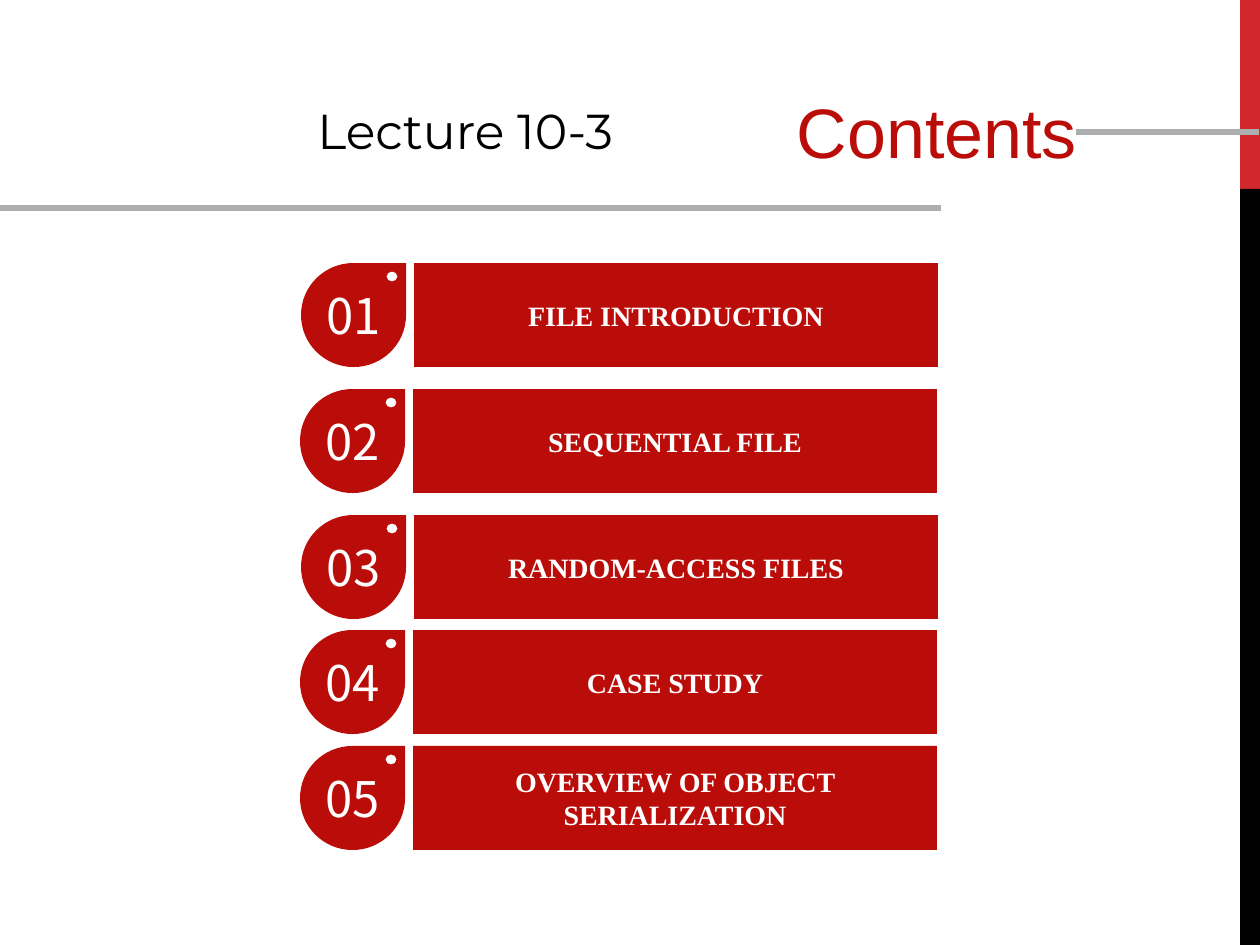
import pptx
import pptx.dml.color
import pptx.enum.shapes
import pptx.enum.text
import pptx.oxml.ns
import pptx.util
from lxml import etree

RED = pptx.dml.color.RGBColor(0xBA, 0x0D, 0x09)
BRIGHT_RED = pptx.dml.color.RGBColor(0xD1, 0x28, 0x2E)
BLACK = pptx.dml.color.RGBColor(0x00, 0x00, 0x00)
WHITE = pptx.dml.color.RGBColor(0xFF, 0xFF, 0xFF)
GRAY = pptx.dml.color.RGBColor(0xAC, 0xAE, 0xB0)

EMU_PER_PX = 914400 / 126

# Badge left, top, topic
TOPICS = [
    (301, 263, "FILE INTRODUCTION"),
    (300, 389, "SEQUENTIAL FILE"),
    (301, 515, "RANDOM-ACCESS FILES"),
    (300, 630, "CASE STUDY"),
    (300, 746, "OVERVIEW OF OBJECT SERIALIZATION"),
]
SIDE_BANDS = [(0, 189, BRIGHT_RED), (189, 756, BLACK)]
RULES = [(1076, 1259, 132), (-1, 941, 208)]

BADGE_WIDTH = 105
ROW_HEIGHT = 104
BAR_OFFSET = 113
BAR_WIDTH = 524

# Hole and drop, in tenths of a px from the badge's top left corner
BADGE_OUTLINE = [
    ("moveTo", [(910, 85)]),
    ("cubicBezTo", [(880, 85), (855, 107), (855, 135)]),
    ("cubicBezTo", [(855, 163), (880, 185), (910, 185)]),
    ("cubicBezTo", [(940, 185), (965, 163), (965, 135)]),
    ("cubicBezTo", [(965, 107), (940, 85), (910, 85)]),
    ("close", []),
    ("moveTo", [(525, 0)]),
    ("lnTo", [(1050, 0)]),
    ("lnTo", [(1050, 520)]),
    ("cubicBezTo", [(1050, 807), (815, 1040), (525, 1040)]),
    ("cubicBezTo", [(235, 1040), (0, 807), (0, 520)]),
    ("cubicBezTo", [(0, 233), (235, 0), (525, 0)]),
    ("close", []),
]

ALIGN = pptx.enum.text.PP_ALIGN
ANCHOR = pptx.enum.text.MSO_ANCHOR
qn = pptx.oxml.ns.qn


def px(length):
    return pptx.util.Emu(round(length * EMU_PER_PX))


def write(shape, text, font_name, size, color, align, anchor, bold=False):
    frame = shape.text_frame
    frame.word_wrap = True
    frame.vertical_anchor = anchor
    paragraph = frame.paragraphs[0]
    paragraph.alignment = align
    run = paragraph.add_run()
    run.text = text
    run.font.name = font_name
    run.font.size = pptx.util.Pt(size)
    run.font.bold = bold
    run.font.color.rgb = color


def paint(shape, color):
    shape.shadow.inherit = False
    shape.fill.solid()
    shape.fill.fore_color.rgb = color
    shape.line.fill.background()


def add_rectangle(slide, left, top, width, height, color):
    rectangle = slide.shapes.add_shape(
        pptx.enum.shapes.MSO_SHAPE.RECTANGLE, px(left), px(top), px(width), px(height))
    paint(rectangle, color)
    return rectangle


def add_rule(slide, start, end, y):
    rule = slide.shapes.add_connector(
        pptx.enum.shapes.MSO_CONNECTOR.STRAIGHT, px(start), px(y), px(end), px(y))
    rule.line.color.rgb = GRAY
    rule.line.width = pptx.util.Pt(3)
    etree.SubElement(rule._element.spPr, qn("a:effectLst"))


def add_badge(slide, left, top):
    """A drop with a square top right corner and a round hole in it."""
    width, height = BADGE_WIDTH * 10, ROW_HEIGHT * 10
    builder = slide.shapes.build_freeform(0, 0, scale=EMU_PER_PX / 10)
    builder.add_line_segments([(width, 0), (width, height), (0, height)], close=True)
    badge = builder.convert_to_shape(px(left), px(top))
    # Curves take the place of the straight frame
    outline = next(badge._element.iter(qn("a:path")))
    for segment in list(outline):
        outline.remove(segment)
    for command, points in BADGE_OUTLINE:
        segment = etree.SubElement(outline, qn("a:" + command))
        for x, y in points:
            etree.SubElement(segment, qn("a:pt"), x=str(x), y=str(y))
    paint(badge, RED)
    return badge


def main():
    presentation = pptx.Presentation()
    presentation.slide_width = px(1260)
    presentation.slide_height = px(945)
    slide = presentation.slides.add_slide(presentation.slide_layouts[6])

    for top, height, color in SIDE_BANDS:
        add_rectangle(slide, 1240, top, 20, height, color)

    title = slide.shapes.add_textbox(px(632), px(89), px(457), px(146))
    title.text_frame.margin_top = 0
    write(title, "Contents", "Arial", 40, RED, ALIGN.RIGHT, ANCHOR.TOP)

    for start, end, y in RULES:
        add_rule(slide, start, end, y)

    lecture = slide.shapes.add_textbox(px(305), px(94), px(367), px(72))
    write(lecture, "Lecture 10-3", "Montserrat", 28, BLACK, ALIGN.LEFT, ANCHOR.TOP)
    lecture.text_frame.word_wrap = False

    for number, (left, top, topic) in enumerate(TOPICS, start=1):
        badge = add_badge(slide, left, top)
        write(badge, f"{number:02d}", "Noto Sans CJK JP", 28, WHITE, ALIGN.CENTER, ANCHOR.MIDDLE)
        bar = add_rectangle(slide, left + BAR_OFFSET, top, BAR_WIDTH, ROW_HEIGHT, RED)
        write(bar, topic, "Times New Roman", 16, WHITE, ALIGN.CENTER, ANCHOR.MIDDLE, bold=True)

    presentation.save("out.pptx")


if __name__ == "__main__":
    main()
